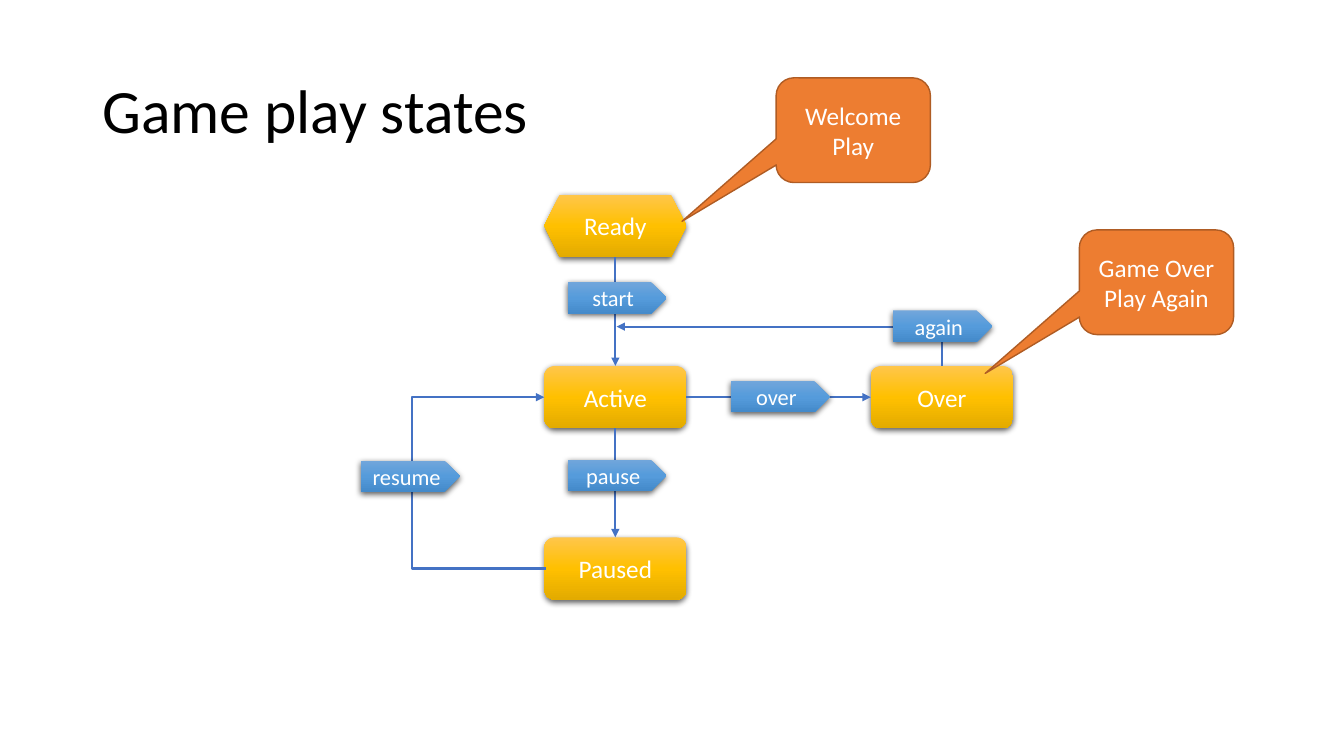
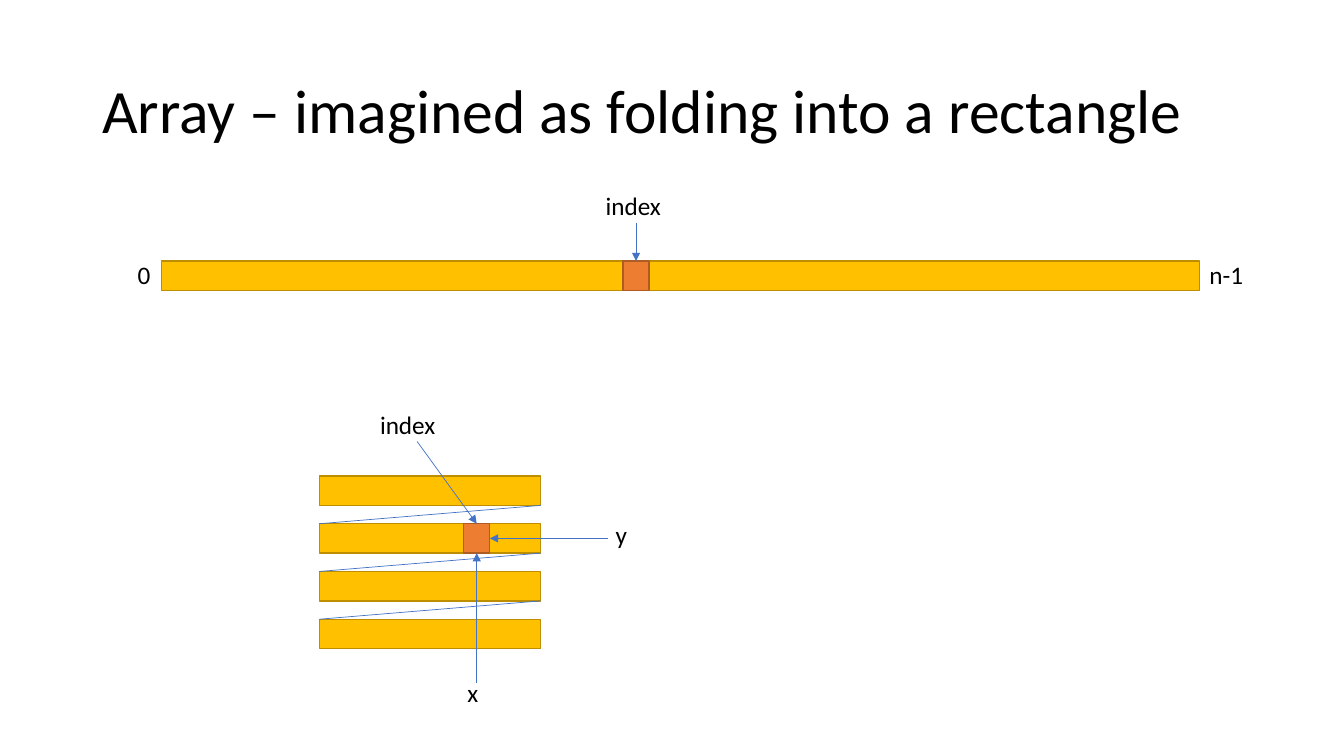
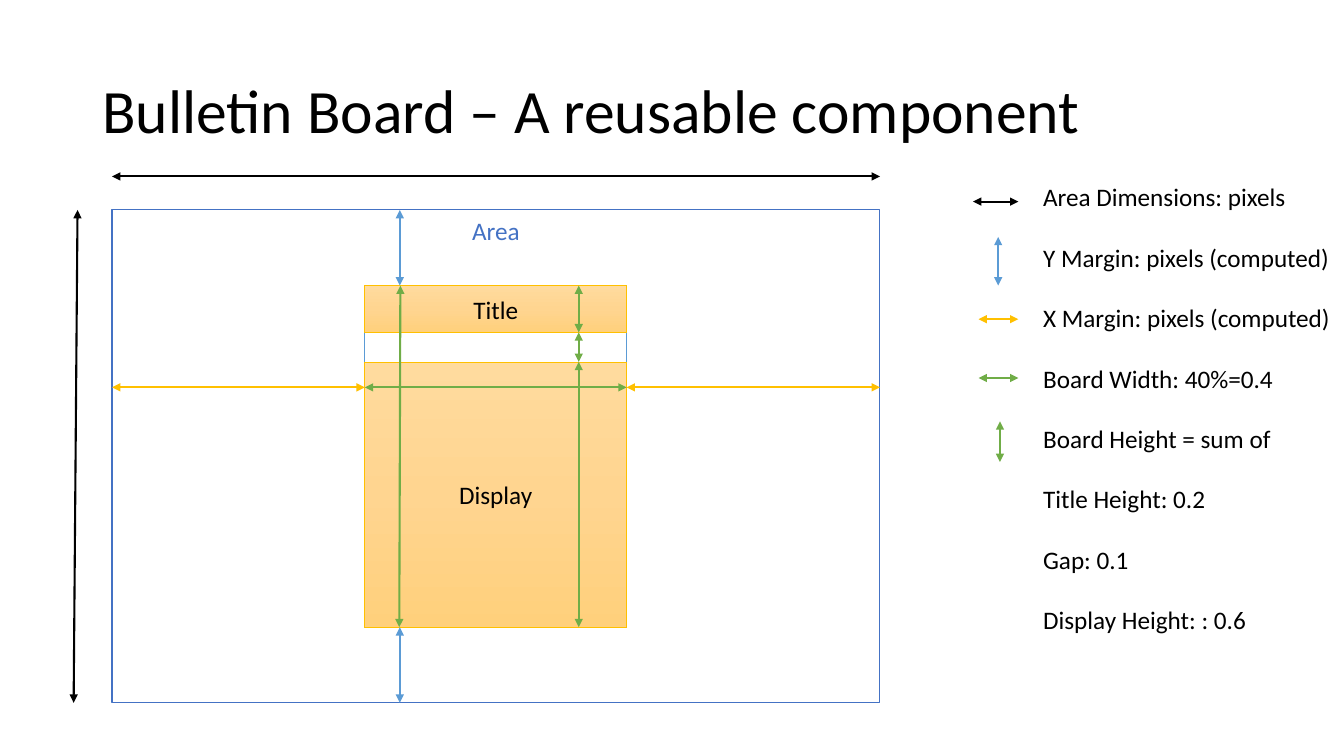
from lxml.etree import SubElement
from pptx import Presentation
from pptx.dml.color import RGBColor
from pptx.enum.shapes import MSO_CONNECTOR as LINK, MSO_SHAPE as SHAPE
from pptx.enum.text import MSO_ANCHOR as ANCHOR, PP_ALIGN as ALIGN
from pptx.oxml.ns import qn
from pptx.util import Pt

COLORS = {
    "black": "000000", "white": "FFFFFF", "blue": "4472C4", "sky": "5B9BD5",
    "gold": "FFC000", "gold_edge": "BD8E00", "orange": "ED7D31",
    "orange_edge": "AF5C24", "green": "70AD47",
}
GRADIENTS = {
    "state": ("FFC64B", "FFC000", "E3AB00"),
    "event": ("71A6DB", "559BDB", "448ACA"),
    "panel": ("FFDB9E", "FFD590", "FFD07C"),
}


def rgb(name):
    return RGBColor.from_string(COLORS[name])


class Deck:
    font = "Calibri"

    def __init__(self):
        self.deck = Presentation()
        self.deck.slide_width = Pt(960)
        self.deck.slide_height = Pt(540)
        self.page = None

    def new_page(self, title):
        self.page = self.deck.slides.add_slide(self.deck.slide_layouts[6])
        self.label(title, 66, 28.8, 828, 104.4, size=44, wrap=True,
                   anchor=ANCHOR.MIDDLE, line_spacing=0.9)

    def fill_text(self, box, lines, size=18, color="black", anchor=ANCHOR.MIDDLE, **layout):
        frame = box.text_frame
        frame.vertical_anchor = anchor
        for number, line in enumerate(lines):
            para = frame.add_paragraph() if number else frame.paragraphs[0]
            for name, value in layout.items():
                setattr(para, name, value)
            span = para.add_run()
            span.text = line
            for name, value in {"name": self.font, "size": Pt(size)}.items():
                setattr(span.font, name, value)
            span.font.color.rgb = rgb(color)

    def label(self, text, left, top, width, height=28.8, wrap=False,
              anchor=ANCHOR.TOP, **style):
        box = self.page.shapes.add_textbox(Pt(left), Pt(top), Pt(width), Pt(height))
        box.text_frame.word_wrap = wrap
        self.fill_text(box, text.split("\n"), anchor=anchor, **style)

    def shape(self, kind, left, top, width, height, fill=None, edge=None, weight=1,
              text=None, shadow=False, adjust=(), **style):
        box = self.page.shapes.add_shape(kind, Pt(left), Pt(top), Pt(width), Pt(height))
        for number, value in enumerate(adjust):
            box.adjustments[number] = value
        if fill in GRADIENTS:
            self.gradient(box, GRADIENTS[fill])
        elif fill:
            box.fill.solid()
            box.fill.fore_color.rgb = rgb(fill)
        else:
            box.fill.background()
        if edge:
            box.line.color.rgb = rgb(edge)
            box.line.width = Pt(weight)
        else:
            box.line.fill.background()
        box.shadow.inherit = False
        if shadow:
            self.drop_shadow(box)
        if text:
            self.fill_text(box, text.split("\n"), alignment=ALIGN.CENTER, **style)
        return box

    def gradient(self, box, stops):
        box.fill.gradient()
        box.fill.gradient_angle = 270
        stop_list = next(box.element.spPr.iter(qn("a:gsLst")))
        for stop in list(stop_list):
            stop_list.remove(stop)
        for number, color in enumerate(stops):
            stop = SubElement(stop_list, qn("a:gs"), pos=str(number * 50000))
            SubElement(stop, qn("a:srgbClr"), val=color)

    def drop_shadow(self, box):
        effects = box.element.spPr.find(qn("a:effectLst"))
        shadow = SubElement(effects, qn("a:outerShdw"), blurRad=str(Pt(4.5)),
                            dist=str(Pt(1.5)), dir="5400000", algn="ctr", rotWithShape="0")
        color = SubElement(shadow, qn("a:srgbClr"), val=COLORS["black"])
        SubElement(color, qn("a:alpha"), val="63000")

    def line(self, start, end, color="blue", weight=1.5, heads=("tailEnd",),
             begin=None, finish=None, kind=LINK.STRAIGHT):
        link = self.page.shapes.add_connector(kind, *map(Pt, (*start, *end)))
        if begin:
            link.begin_connect(*begin)
        if finish:
            link.end_connect(*finish)
        link.line.color.rgb = rgb(color)
        link.line.width = Pt(weight)
        outline = link.element.spPr.find(qn("a:ln"))
        for head in heads:
            SubElement(outline, qn(f"a:{head}"), type="triangle")
        SubElement(link.element.spPr, qn("a:effectLst"))
        return link

    def span_arrow(self, start, end, color):
        self.line(start, end, color, heads=("headEnd", "tailEnd"))

    def bend(self, start, end, rotation, preset, adjust=None):
        properties = self.line(start, end, kind=LINK.ELBOW).element.spPr
        properties.find(qn("a:xfrm")).set("rot", str(rotation * 60000))
        geometry = properties.find(qn("a:prstGeom"))
        geometry.set("prst", preset)
        if adjust:
            SubElement(geometry.find(qn("a:avLst")), qn("a:gd"),
                       name="adj1", fmla=f"val {adjust * 100000}")


def game_states(deck):
    deck.new_page("Game play states")
    left, top, step, width, height = 388.8, 139, 122.4, 101.5, 44.6
    middle = left + width / 2

    def state(text, column, row, kind=SHAPE.ROUNDED_RECTANGLE):
        return deck.shape(kind, column, top + row * step, width, height, "state",
                          text=text, color="white", shadow=True)

    state("Ready", left, 0, SHAPE.HEXAGON)
    active = state("Active", left, 1)
    paused = state("Paused", left, 2)
    over = state("Over", 622, 1)

    deck.line((middle, top + height), (middle, top + step), finish=(active, 0))
    for source, side, target, target_side in ((active, 2, paused, 0), (active, 3, over, 1)):
        deck.line((0, 0), (0, 0), begin=(source, side), finish=(target, target_side))
    active_middle = top + step + height / 2
    deck.bend((left, active_middle), (left + 1, active_middle + step), 180, "bentConnector3", 96)
    deck.bend((542.65, 363.6), (570.75, 131.2), 270, "bentConnector2")

    for text, x, y in (("start", 405.4, 201.6), ("pause", 405.4, 328.5), ("resume", 257.8, 329),
                       ("again", 638, 221.8), ("over", 522, 272.2)):
        deck.shape(SHAPE.PENTAGON, x, y, 70.8, 22.4, "event", text=text, size=16,
                   color="white", shadow=True)
    for text, x, y in (("Welcome\nPlay", 554.4, 55.6), ("Game Over\nPlay Again", 771, 164.2)):
        deck.shape(SHAPE.ROUNDED_RECTANGULAR_CALLOUT, x, y, 110.2, 74.8, "orange", "orange_edge",
                   text=text, color="white", adjust=(-1.11, 0.87, 0.17))


def folded_array(deck):
    deck.new_page("Array – imagined as folding into a rectangle")
    thick, cell_width = 21, 18.7
    strip_top = 186.5
    left, top, width, step = 228.2, 340, 158, 34.1

    def bar(x, y, length):
        deck.shape(SHAPE.RECTANGLE, x, y, length, thick, "gold", "gold_edge")

    def cell(x, y):
        return deck.shape(SHAPE.RECTANGLE, x, y, cell_width, thick, "orange", "orange_edge")

    bar(115.2, strip_top, 741.6)
    for row in range(4):
        bar(left, top + row * step, width)
    for row in range(3):
        deck.line((left + width, top + row * step + thick), (left, top + (row + 1) * step),
                  weight=0.5, heads=())

    strip_cell = cell(445, strip_top)
    folded_cell = cell(331.2, top + step)
    folded_middle = 331.2 + cell_width / 2
    for start, target, side in (((445 + cell_width / 2, 159), strip_cell, 0),
                                ((298, 315.4), folded_cell, 0),
                                ((folded_middle, 488), folded_cell, 2),
                                ((434, top + step + thick / 2), folded_cell, 3)):
        deck.line(start, start, weight=0.5, finish=(target, side))

    for text, x, y, length in (("0", 91.2, 182, 24), ("n-1", 856.8, 181.5, 39),
                               ("index", 425.5, 132.3, 54.7), ("index", 264.4, 288.7, 54.7),
                               ("x", 326.8, 480.4, 22.3), ("y", 432.6, 367.4, 23)):
        deck.label(text, x, y, length)


def bulletin_board(deck):
    deck.new_page("Bulletin Board – A reusable component")
    left, top, right, bottom = 80, 150, 628.6, 502
    board_left, board_right, board_top, board_bottom = 260.6, 447.6, 204, 448
    board_width = board_right - board_left
    title_bottom, display_top = 237.4, 258.5
    margin_y, height_x, parts_x = 276.7, 285.6, 413.4

    deck.shape(SHAPE.RECTANGLE, left, top, right - left, bottom - top, edge="blue", weight=0.75,
               text="Area", color="blue", anchor=ANCHOR.TOP)
    deck.shape(SHAPE.RECTANGLE, board_left, board_top, board_width, board_bottom - board_top,
               edge="sky", weight=0.75)
    for text, start, end in (("Title", board_top, title_bottom),
                             ("Display", display_top, board_bottom)):
        deck.shape(SHAPE.RECTANGLE, board_left, start, board_width, end - start, "panel",
                   "gold", 0.5, text=text)

    for color, x1, y1, x2, y2 in (
            ("black", left, 126, right, 126),
            ("black", 55.4, top, 52.6, bottom),
            ("gold", left, margin_y, board_left, margin_y),
            ("gold", board_right, margin_y, right, margin_y),
            ("sky", height_x, top, height_x, board_top),
            ("sky", height_x, board_bottom, height_x, bottom),
            ("green", height_x + 0.4, board_top, height_x - 0.4, board_bottom),
            ("green", board_left, margin_y, board_right, margin_y),
            ("green", parts_x, board_top, parts_x, title_bottom),
            ("green", parts_x, title_bottom, parts_x, display_top),
            ("green", parts_x, display_top, parts_x, board_bottom),
            ("black", 695, 144, 727.4, 144),
            ("sky", 713, 169.2, 713, 204),
            ("gold", 699, 228, 727.4, 228),
            ("green", 699, 270, 727.4, 270),
            ("green", 714.3, 301, 714.3, 330)):
        deck.span_arrow((x1, y1), (x2, y2), color)

    legend = ("Area Dimensions: pixels", "Y Margin: pixels (computed)",
              "X Margin: pixels (computed)", "Board Width: 40%=0.4", "Board Height = sum of",
              "Title Height: 0.2", "Gap: 0.1", "Display Height: : 0.6")
    deck.label("\n".join(legend), 738, 126, 221, 334, space_after=Pt(21.6))


def main():
    deck = Deck()
    for build in (game_states, folded_array, bulletin_board):
        build(deck)
    deck.deck.save("out.pptx")


if __name__ == "__main__":
    main()
